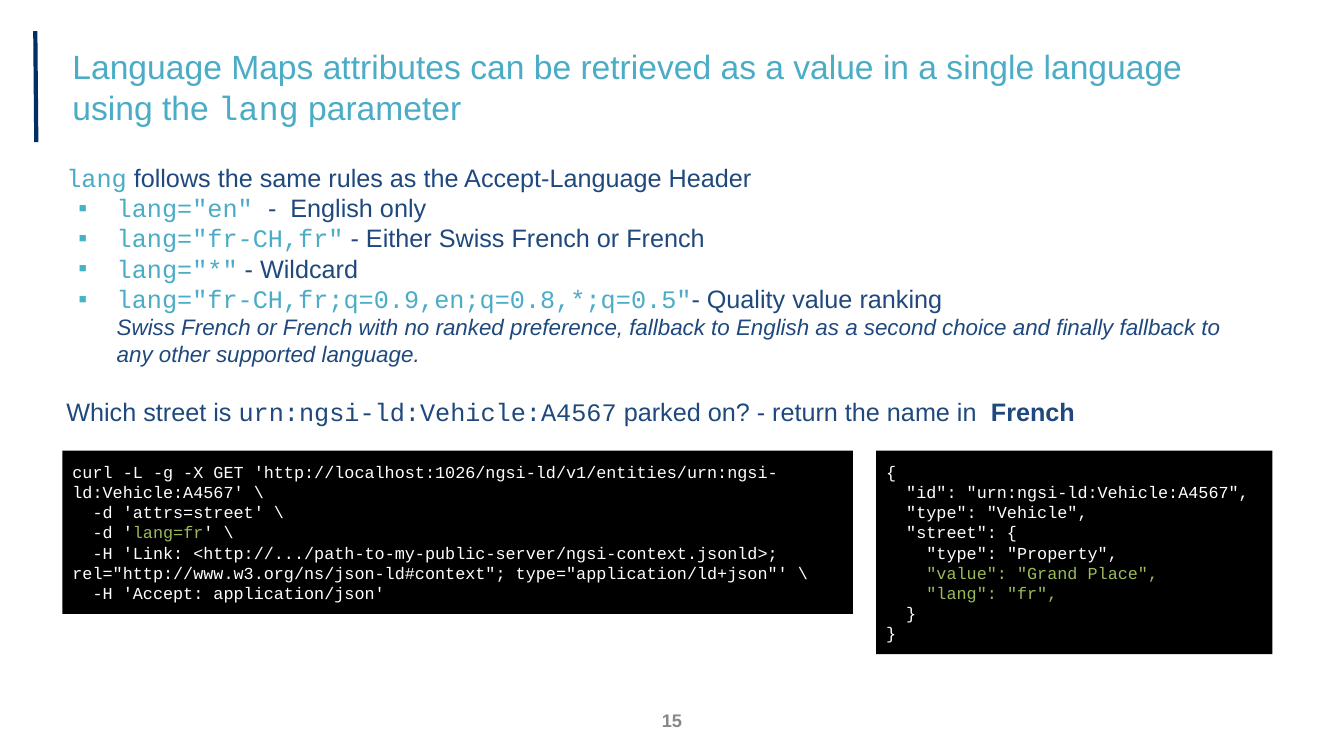
"""Build the slide about retrieving language maps with the lang parameter."""
from lxml.etree import SubElement
from pptx import Presentation
from pptx.dml.color import RGBColor
from pptx.enum.shapes import MSO_CONNECTOR, MSO_SHAPE
from pptx.enum.text import MSO_ANCHOR, PP_ALIGN
from pptx.oxml.ns import qn
from pptx.util import Inches, Pt

NAVY = RGBColor(0x00, 0x2E, 0x67)
BLUE = RGBColor(0x1F, 0x49, 0x7D)
TEAL = RGBColor(0x4B, 0xAC, 0xC6)
BULLET_TEAL = RGBColor(0x41, 0xB4, 0xC7)
GREEN = RGBColor(0x9B, 0xBB, 0x59)
GREY = RGBColor(0x88, 0x88, 0x88)
BLACK = RGBColor(0x00, 0x00, 0x00)
WHITE = RGBColor(0xFF, 0xFF, 0xFF)

SANS, MONO = "Arial", "Courier New"
CODE_CHARACTER = 0.1

HEADING = ({"name": SANS, "size": Pt(24)}, TEAL)
HEADING_CODE = ({"name": MONO, "size": Pt(24)}, TEAL)
BODY = ({"name": SANS, "size": Pt(18)}, BLUE)
BODY_BOLD = ({"name": SANS, "size": Pt(18), "bold": True}, BLUE)
BODY_CODE = ({"name": MONO, "size": Pt(18)}, BLUE)
KEYWORD = ({"name": MONO, "size": Pt(18)}, TEAL)
REMARK = ({"name": SANS, "size": Pt(16), "italic": True}, BLUE)
PAGE_NUMBER = ({"name": SANS, "size": Pt(13), "bold": True}, GREY)
CODE = ({"name": MONO, "size": Pt(12)}, WHITE)
CODE_HIGHLIGHT = ({"name": MONO, "size": Pt(12)}, GREEN)

LANG_EXAMPLES = [
    ('lang="en" ', "-  English only"),
    ('lang="fr-CH,fr"', " - Either Swiss French or French"),
    ('lang="*"', " - Wildcard"),
    ('lang="fr-CH,fr;q=0.9,en;q=0.8,*;q=0.5"', "- Quality value ranking"),
]
REQUEST = [
    (0, [("curl -L -g -X GET 'http://localhost:1026/ngsi-ld/v1/entities/"
          "urn:ngsi-ld:Vehicle:A4567' \\", CODE)]),
    (2, [("-d 'attrs=street' \\", CODE)]),
    (2, [("-d '", CODE), ("lang=fr", CODE_HIGHLIGHT), ("' \\", CODE)]),
    (2, [("-H 'Link: <http://.../path-to-my-public-server/ngsi-context.jsonld>; "
          'rel="http://www.w3.org/ns/json-ld#context"; '
          "type=\"application/ld+json\"' \\", CODE)]),
    (2, [("-H 'Accept: application/json'", CODE)]),
]
RESPONSE = [
    (0, [("{", CODE)]),
    (2, [('"id": "urn:ngsi-ld:Vehicle:A4567",', CODE)]),
    (2, [('"type": "Vehicle",', CODE)]),
    (2, [('"street": {', CODE)]),
    (4, [('"type": "Property",', CODE)]),
    (4, [('"value": "Grand Place",', CODE_HIGHLIGHT)]),
    (4, [('"lang": "fr",', CODE_HIGHLIGHT)]),
    (2, [("}", CODE)]),
    (0, [("}", CODE)]),
]


def set_frame(frame, vertical_margin, anchor):
    """Set wrapping, margins and anchor of a text frame."""
    settings = {
        "word_wrap": True,
        "vertical_anchor": anchor,
        "margin_left": Inches(0.1),
        "margin_right": Inches(0.1),
        "margin_top": Inches(vertical_margin),
        "margin_bottom": Inches(vertical_margin),
    }
    for attribute, value in settings.items():
        setattr(frame, attribute, value)


def add_text_area(slide, bounds, vertical_margin=0.05, anchor=MSO_ANCHOR.MIDDLE):
    """Add an empty text box and return its frame."""
    frame = slide.shapes.add_textbox(*map(Inches, bounds)).text_frame
    set_frame(frame, vertical_margin, anchor)
    return frame


def write_paragraph(frame, pieces, left=0, first_line=0, align=PP_ALIGN.LEFT):
    """Write styled pieces into the next paragraph of a frame."""
    paragraph = frame.paragraphs[0]
    if paragraph.runs:
        paragraph = frame.add_paragraph()
    paragraph.alignment = align
    properties = paragraph._p.get_or_add_pPr()
    properties.set("marL", str(Inches(left)))
    properties.set("indent", str(Inches(first_line)))
    for text, (font_format, color) in pieces:
        run = paragraph.add_run()
        run.text = text
        for attribute, value in font_format.items():
            setattr(run.font, attribute, value)
        run.font.color.rgb = color
    return paragraph


def add_bullet(paragraph):
    """Give a paragraph a small square bullet."""
    properties = paragraph._p.get_or_add_pPr()
    bullet_color = SubElement(properties, qn("a:buClr"))
    SubElement(bullet_color, qn("a:srgbClr")).set("val", str(BULLET_TEAL))
    SubElement(properties, qn("a:buFont")).set("typeface", SANS)
    SubElement(properties, qn("a:buChar")).set("char", "▪")


def add_accent_line(slide):
    """Add the dark line left of the title."""
    accent = slide.shapes.add_connector(
        MSO_CONNECTOR.STRAIGHT, *map(Inches, (0.36, 1.41, 0.35, 0.31)))
    accent.line.color.rgb = NAVY
    accent.line.width = Pt(3)
    SubElement(accent._element.spPr, qn("a:effectLst"))


def add_explanation(slide):
    """Add the rules of the lang parameter and the example question."""
    frame = add_text_area(slide, (0.56, 1.51, 12.06, 4.98), 0.1, MSO_ANCHOR.TOP)
    write_paragraph(frame, [
        ("lang", KEYWORD),
        (" follows the same rules as the Accept-Language Header", BODY)])
    for parameter, meaning in LANG_EXAMPLES:
        add_bullet(write_paragraph(
            frame, [(parameter, KEYWORD), (meaning, BODY)], 0.5, -0.38))
    write_paragraph(frame, [(
        "Swiss French or French with no ranked preference, fallback to English "
        "as a second choice and finally fallback to any other supported language.",
        REMARK)], 0.5)
    question = write_paragraph(frame, [
        ("Which street is ", BODY), ("urn:ngsi-ld:Vehicle:A4567", BODY_CODE),
        (" parked on? - return the name in  ", BODY), ("French", BODY_BOLD)])
    question.space_before = Pt(21)


def add_code_panel(slide, bounds, code_lines):
    """Add a black panel with code lines indented by character count."""
    panel = slide.shapes.add_shape(MSO_SHAPE.RECTANGLE, *map(Inches, bounds))
    panel.shadow.inherit = False
    panel.fill.solid()
    panel.fill.fore_color.rgb = BLACK
    panel.line.fill.background()
    set_frame(panel.text_frame, 0.1, MSO_ANCHOR.MIDDLE)
    for depth, pieces in code_lines:
        write_paragraph(panel.text_frame, pieces, first_line=depth * CODE_CHARACTER)


def main():
    """Build and save the slide."""
    presentation = Presentation()
    presentation.slide_width = Inches(13.33)
    presentation.slide_height = Inches(7.5)
    slide = presentation.slides.add_slide(presentation.slide_layouts[6])

    add_accent_line(slide)
    add_explanation(slide)
    title = add_text_area(slide, (0.62, 0.31, 11.48, 1.1))
    write_paragraph(title, [
        ("Language Maps attributes can be retrieved as a value in a single "
         "language using the ", HEADING),
        ("lang", HEADING_CODE), (" parameter", HEADING)])
    page_number = add_text_area(slide, (5.91, 6.95, 1.51, 0.4))
    write_paragraph(page_number, [("15", PAGE_NUMBER)], align=PP_ALIGN.CENTER)
    add_code_panel(slide, (0.62, 4.47, 7.84, 1.62), REQUEST)
    add_code_panel(slide, (8.69, 4.47, 3.93, 2.02), RESPONSE)

    presentation.save("out.pptx")


if __name__ == "__main__":
    main()
